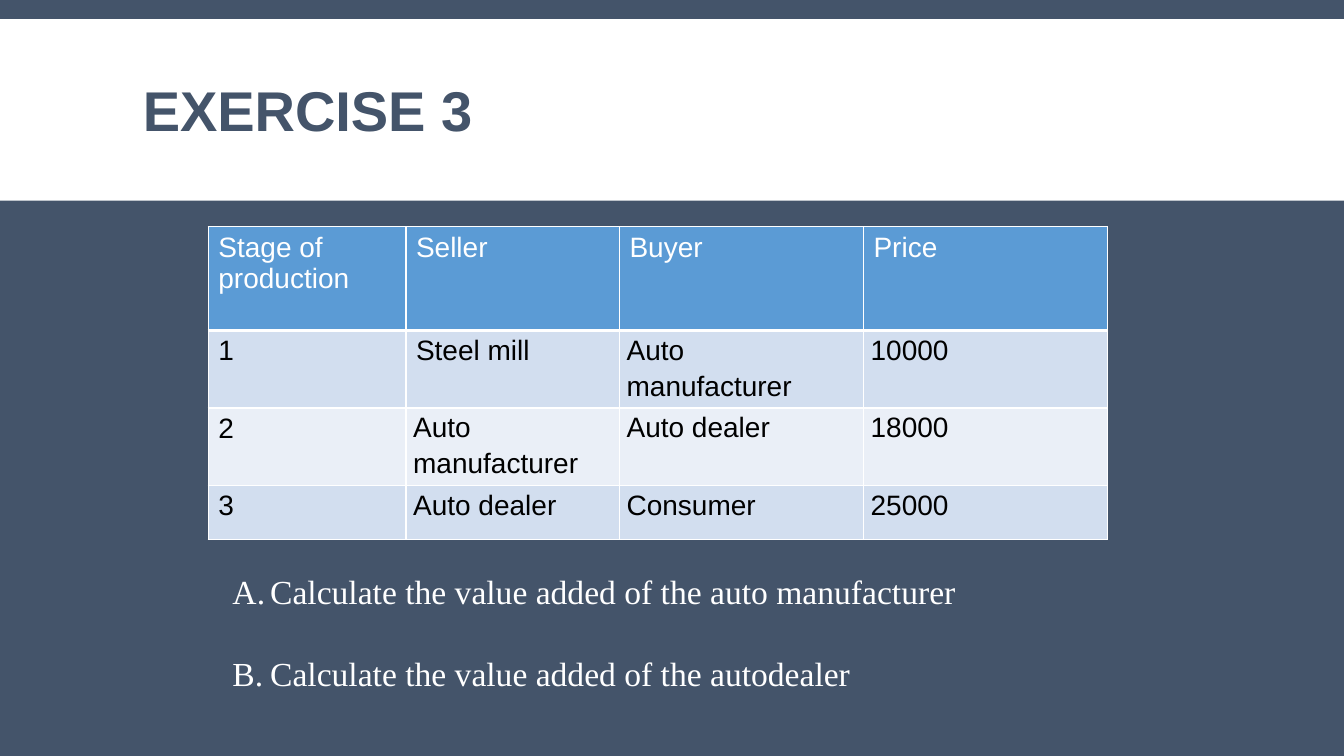
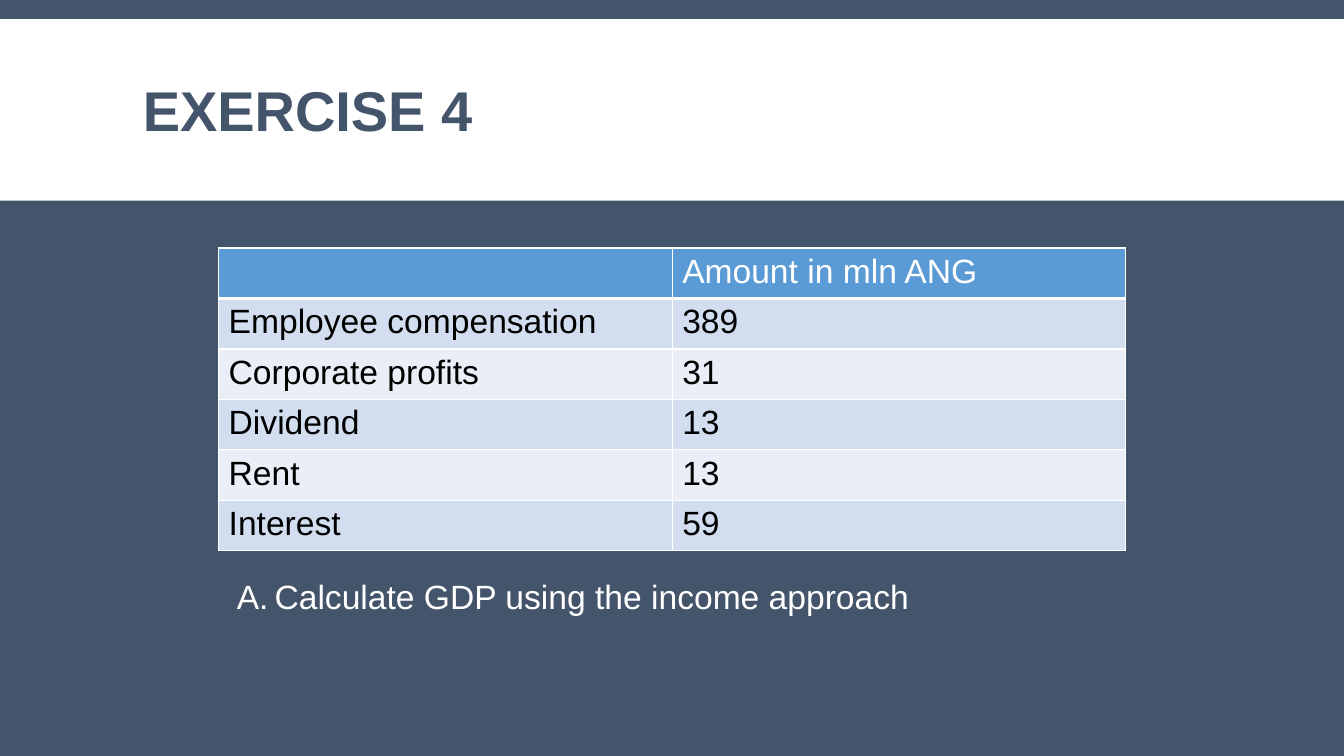
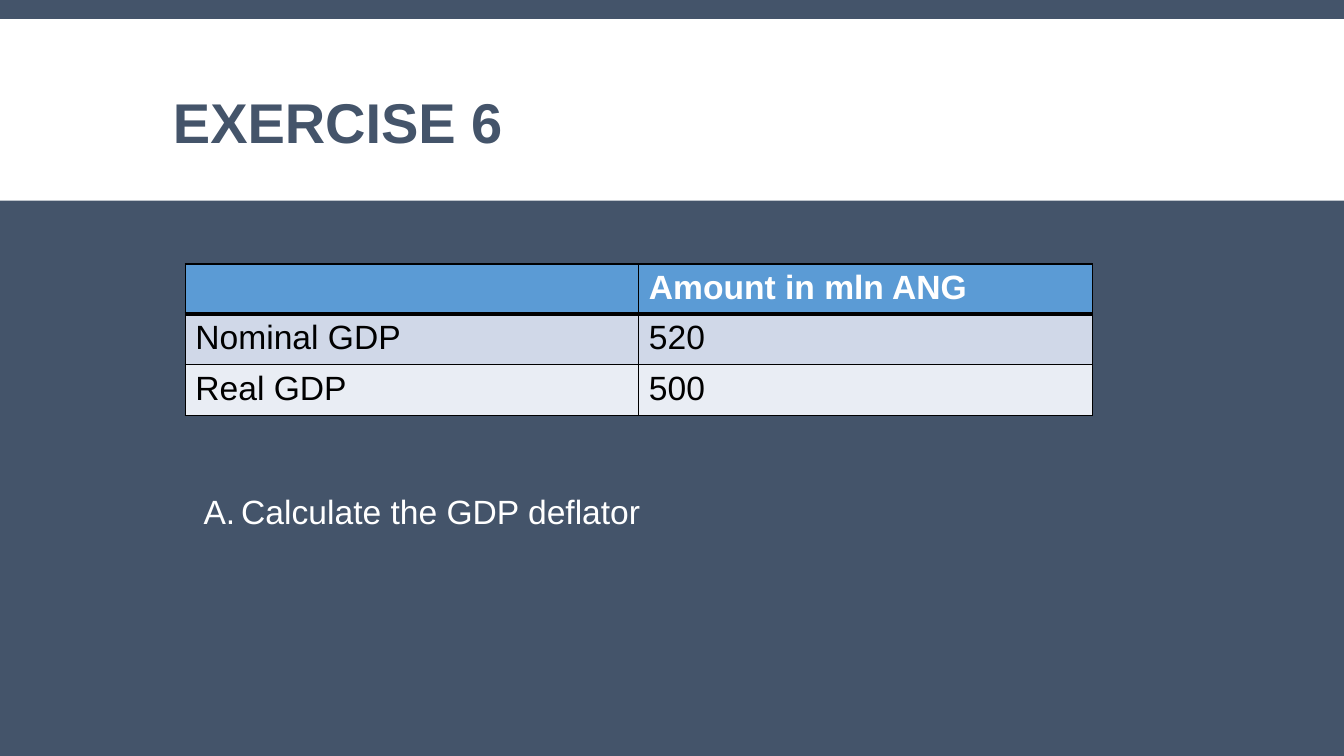
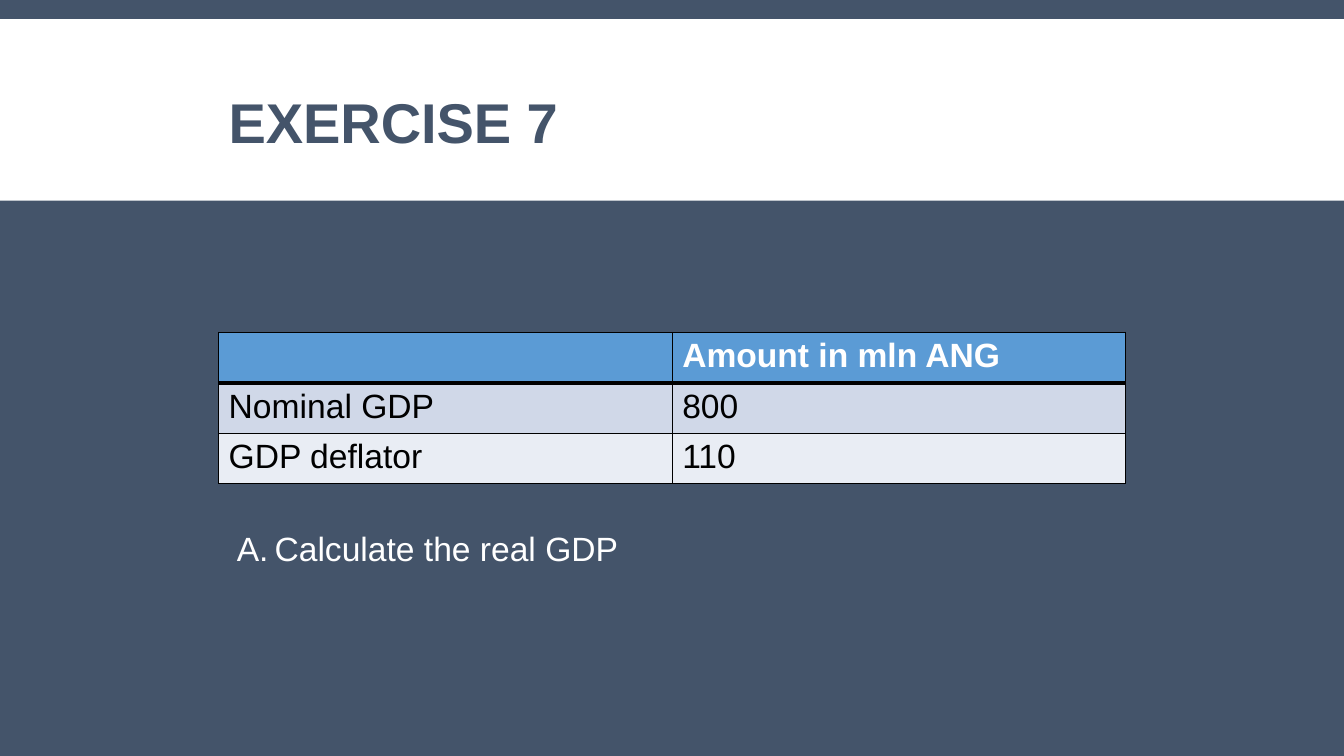
from dataclasses import dataclass
from itertools import product

from lxml.etree import SubElement
from pptx import Presentation
from pptx.dml.color import RGBColor
from pptx.enum.shapes import MSO_SHAPE as Shape
from pptx.enum.text import MSO_ANCHOR as Anchor, PP_ALIGN as Align
from pptx.oxml.ns import qn
from pptx.util import Cm, Pt


@dataclass(frozen=True)
class Grid:
    """Line and band colours of one kind of table."""
    line: str
    bands: tuple
    bold_header: bool
    rule_under_header: float


@dataclass(frozen=True)
class Theme:
    """Colours, fonts and type sizes of the deck."""
    slate: str = "44546A"
    white: str = "FFFFFF"
    black: str = "000000"
    blue: str = "5B9BD5"
    sans: str = "Arial"
    serif: str = "Times New Roman"
    title_size: int = 40
    body_size: int = 24
    small_size: int = 20
    thin: float = 1
    thick: float = 3
    light: Grid = Grid("FFFFFF", ("D2DEEF", "EAEFF7"), False, 1)
    dark: Grid = Grid("000000", ("D0D8E8", "E9EDF4"), True, 3)


class ExerciseDeck:
    """Builds exercise slides in one theme."""

    def __init__(self, theme):
        """Open a wide deck with a slate background."""
        self.theme = theme
        self.deck = Presentation()
        self.deck.slide_width, self.deck.slide_height = Cm(33.87), Cm(19.05)
        self.paint(self.deck.slide_master.background.fill, theme.slate)
        self.page = None

    def paint(self, fill, colour):
        """Give a fill one solid colour."""
        fill.solid()
        fill.fore_color.rgb = RGBColor.from_string(colour)

    def add_span(self, para, text, size, colour, font=None, bold=False):
        """Add one styled run to a paragraph."""
        span = para.add_run()
        span.text = text
        span.font.name = font or self.theme.sans
        span.font.size = Pt(size)
        span.font.bold = bold
        span.font.color.rgb = RGBColor.from_string(colour)

    def text_frame(self, left, top, width, height, anchor=Anchor.TOP):
        """Add a wrapping text box and return its frame."""
        box = self.page.shapes.add_textbox(Cm(left), Cm(top), Cm(width), Cm(height))
        frame = box.text_frame
        frame.word_wrap = True
        frame.vertical_anchor = anchor
        return frame

    def slide(self, title, left=5.51, top=1.7, width=22.86, height=2.97):
        """Start a slide with its white band and title."""
        self.page = self.deck.slides.add_slide(self.deck.slide_layouts[6])
        band = self.page.shapes.add_shape(
            Shape.RECTANGLE, 0, Cm(0.48), self.deck.slide_width, Cm(4.58))
        band.shadow.inherit = False
        self.paint(band.fill, self.theme.white)
        band.line.fill.background()
        para = self.text_frame(left, top, width, height, Anchor.MIDDLE).paragraphs[0]
        para.line_spacing = 0.85
        self.add_span(para, title, self.theme.title_size, self.theme.slate, bold=True)

    def border(self, cell, side, colour, width):
        """Draw one side of a cell."""
        line = SubElement(cell._tc.get_or_add_tcPr(), qn(f"a:ln{side}"), w=str(Pt(width)))
        fill = SubElement(line, qn("a:solidFill"))
        SubElement(fill, qn("a:srgbClr"), val=colour)

    def table(self, left, top, rows, grid, widths=(11.43, 11.43),
              heights=None, size=None, tight=()):
        """Add a table with a blue header and banded rows."""
        theme = self.theme
        heights = heights or [1.2] * len(rows)
        table = self.page.shapes.add_table(
            len(rows), len(widths), Cm(left), Cm(top),
            Cm(sum(widths)), Cm(sum(heights))).table
        for column, width in zip(table.columns, widths):
            column.width = Cm(width)
        for row, height in zip(table.rows, heights):
            row.height = Cm(height)
        for y, x in product(range(len(rows)), range(len(widths))):
            cell = table.cell(y, x)
            header = y == 0
            above = grid.rule_under_header if y == 1 else theme.thin
            below = theme.thick if header else theme.thin
            for side, width in zip("LRTB", (theme.thin, theme.thin, above, below)):
                self.border(cell, side, grid.line, width)
            self.paint(cell.fill, theme.blue if header else grid.bands[(y - 1) % 2])
            para = cell.text_frame.paragraphs[0]
            if (y, x) in tight:
                cell.margin_left = cell.margin_right = Cm(0.18)
                cell.margin_top = cell.margin_bottom = 0
                para.line_spacing = 1.15
                para.space_after = Pt(10)
            if rows[y][x]:
                self.add_span(para, rows[y][x], size or theme.body_size,
                              theme.white if header else theme.black,
                              bold=header and grid.bold_header)

    def questions(self, left, top, height, *texts, font=None):
        """Add questions lettered A, B and so on."""
        frame = self.text_frame(left, top, 22.66, height)
        for index, text in enumerate(texts):
            para = frame.add_paragraph() if index else frame.paragraphs[0]
            para.alignment = Align.LEFT
            if index:
                para.space_before = Pt(30)
            properties = para._p.get_or_add_pPr()
            indent = Cm(0.95)
            properties.set("marL", str(indent))
            properties.set("indent", str(-indent))
            SubElement(properties, qn("a:buFont"), typeface="+mj-lt")
            SubElement(properties, qn("a:buAutoNum"), type="alphaUcPeriod")
            self.add_span(para, text, self.theme.body_size, self.theme.white, font)


def main():
    """Build the four exercises and save them."""
    theme = Theme()
    show = ExerciseDeck(theme)
    wide_title = dict(left=3.35, top=0.79, width=27.18, height=4.19)
    amount_header = ("", "Amount in mln ANG")

    show.slide("EXERCISE 3", **wide_title)
    show.table(5.25, 5.71, [
        ("Stage of production", "Seller", "Buyer", "Price"),
        ("1", "Steel mill", "Auto manufacturer", "10000"),
        ("2", "Auto manufacturer", "Auto dealer", "18000"),
        ("3", "Auto dealer", "Consumer", "25000"),
    ], theme.light, widths=(4.98, 5.38, 6.15, 6.15), heights=(2.62, 1.92, 1.92, 1.36),
        size=theme.small_size, tight=set(product(range(1, 4), repeat=2)) - {(1, 1)})
    show.questions(5.61, 14.25, 4.11,
                   "Calculate the value added of the auto manufacturer",
                   "Calculate the value added of the autodealer", font=theme.serif)

    show.slide("EXERCISE 4", **wide_title)
    show.table(5.51, 6.25, [
        amount_header,
        ("Employee compensation", "389"),
        ("Corporate profits", "31"),
        ("Dividend", "13"),
        ("Rent", "13"),
        ("Interest", "59"),
    ], theme.light)
    show.questions(5.72, 14.4, 2.06, "Calculate GDP using the income approach")

    show.slide("EXERCISE 6", left=4.11)
    show.table(4.67, 6.65, [
        amount_header, ("Nominal GDP", "520"), ("Real GDP", "500"),
    ], theme.dark)
    show.questions(4.88, 12.24, 2.82, "Calculate the GDP deflator")

    show.slide("EXERCISE 7")
    show.table(5.51, 8.38, [
        amount_header, ("Nominal GDP", "800"), ("GDP deflator", "110"),
    ], theme.dark)
    show.questions(5.72, 13.18, 1.3, "Calculate the real GDP")

    show.deck.save("out.pptx")


if __name__ == "__main__":
    main()
